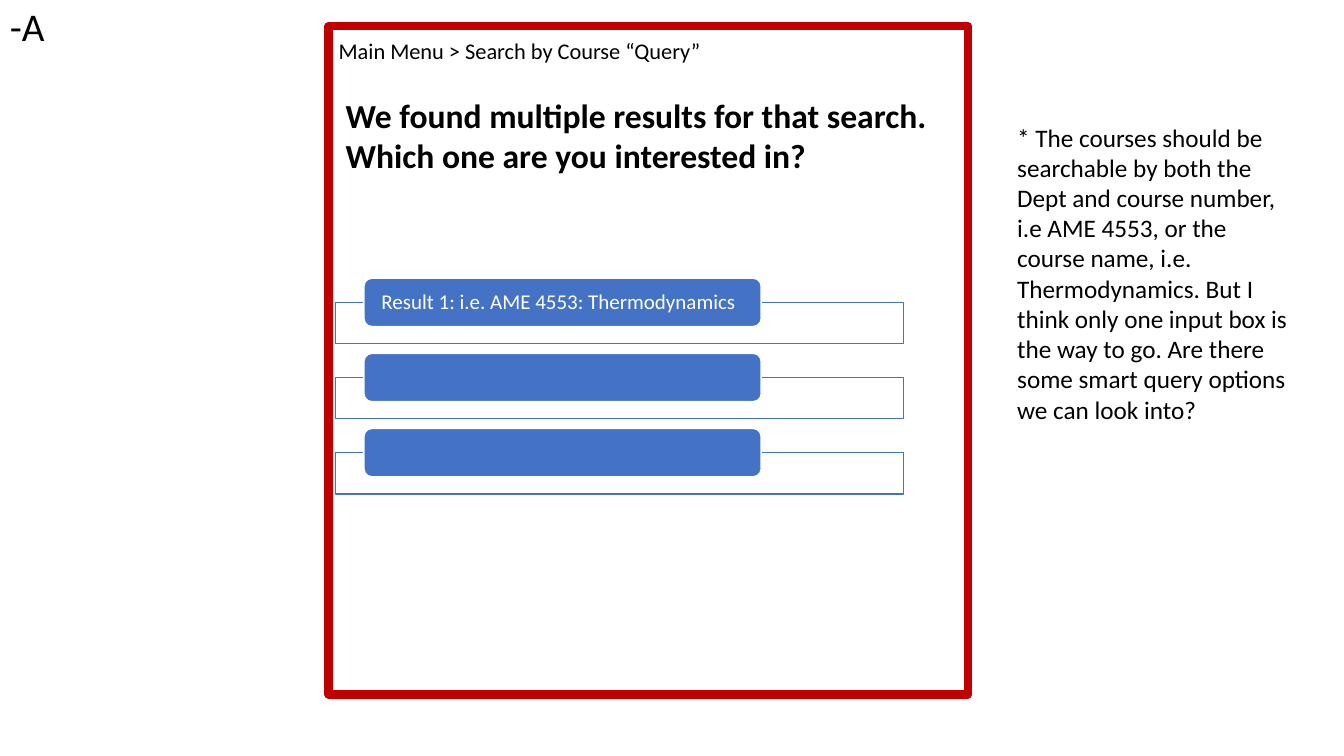
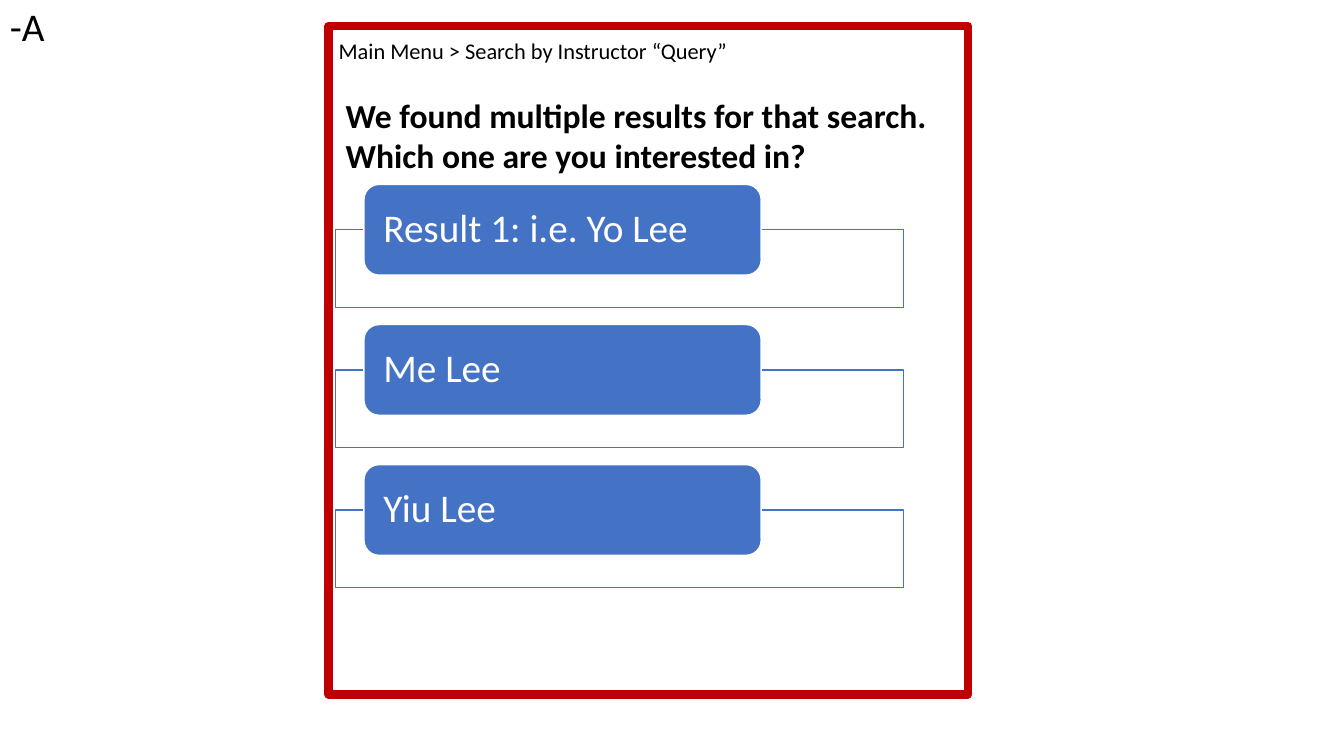
from lxml import etree
from pptx import Presentation
from pptx.dml.color import RGBColor
from pptx.enum.shapes import MSO_SHAPE
from pptx.enum.text import MSO_ANCHOR, MSO_AUTO_SIZE, PP_ALIGN
from pptx.oxml.ns import qn
from pptx.util import Inches, Pt

RECT = MSO_SHAPE.RECTANGLE
ROUND_RECT = MSO_SHAPE.ROUNDED_RECTANGLE
MIDDLE = MSO_ANCHOR.MIDDLE
LEFT = PP_ALIGN.LEFT
FIT_SHAPE = MSO_AUTO_SIZE.SHAPE_TO_FIT_TEXT

BLACK = RGBColor(0x00, 0x00, 0x00)
WHITE = RGBColor(0xFF, 0xFF, 0xFF)
RED = RGBColor(0xC0, 0x00, 0x00)
BLUE = RGBColor(0x44, 0x72, 0xC4)

FONT = "Calibri"
QUESTION = ("We found multiple results for that search. "
            "Which one are you interested in?")
NOTE = ("* The courses should be searchable by both the Dept and course "
        "number, i.e AME 4553, or the course name, i.e. Thermodynamics. "
        "But I think only one input box is the way to go. Are there some "
        "smart query options we can look into?")


def add_run(p, text, size, color=BLACK, bold=False):
    r = p.add_run()
    r.text = text
    r.font.name = FONT
    r.font.size = Pt(size)
    r.font.bold = bold
    r.font.color.rgb = color


def add_text(s, box, text, size, bold=False, wrap=True):
    tf = s.shapes.add_textbox(*map(Inches, box)).text_frame
    tf.word_wrap = wrap
    tf.auto_size = FIT_SHAPE
    add_run(tf.paragraphs[0], text, size, bold=bold)


def add_box(s, kind, box, line, width, fill=None):
    sp = s.shapes.add_shape(kind, *map(Inches, box))
    sp.shadow.inherit = False
    sp.line.color.rgb = line
    sp.line.width = Pt(width)
    if fill is None:
        sp.fill.background()
    else:
        sp.fill.solid()
        sp.fill.fore_color.rgb = fill
    return sp


def set_opacity(sp, percent):
    color = sp.fill._xPr.find(qn("a:solidFill")).find(qn("a:srgbClr"))
    etree.SubElement(color, qn("a:alpha")).set("val", str(percent * 1000))


def add_result(s, top, tab_height, bar_height, text, size):
    """Add a blue tab whose middle sits on the top edge of a wide bar."""
    bar = add_box(s, RECT, (3.33, top + tab_height / 2, 5.63, bar_height),
                  BLUE, 1, WHITE)
    set_opacity(bar, 90)
    tab = add_box(s, ROUND_RECT, (3.61, top, 3.94, tab_height),
                  WHITE, 1, BLUE)
    if text:
        tf = tab.text_frame
        tf.word_wrap = True
        tf.vertical_anchor = MIDDLE
        tf.margin_left = tf.margin_right = Inches(0.15)
        tf.margin_top = tf.margin_bottom = 0
        p = tf.paragraphs[0]
        p.alignment = LEFT
        p.line_spacing = 0.9
        add_run(p, text, size, WHITE)


def add_results(s, texts, top, step, tab_height, bar_height, size):
    for i, text in enumerate(texts):
        add_result(s, top + i * step, tab_height, bar_height, text, size)


def add_screen(prs, search):
    """Add a slide with the parts that every search screen shares."""
    s = prs.slides.add_slide(prs.slide_layouts[6])
    add_text(s, (0, -0.03, 0.55, 0.57), "-A", 28, wrap=False)
    add_box(s, RECT, (3.26, 0.26, 6.34, 6.63), RED, 6)
    add_text(s, (3.26, 0.32, 7.85, 0.37),
             f"Main Menu > Search by {search} “Query”", 16)
    add_text(s, (3.33, 0.89, 5.98, 0.91), QUESTION, 24, bold=True)
    return s


def main():
    prs = Presentation()
    prs.slide_width = Inches(13.33)
    prs.slide_height = Inches(7.5)

    s = add_screen(prs, "Course")
    add_text(s, (9.99, 1.16, 2.94, 3.13), NOTE, 18)
    add_results(s, ["Result 1: i.e. AME 4553: Thermodynamics", "", ""],
                top=2.76, step=0.745, tab_height=0.48, bar_height=0.41,
                size=15)

    s = add_screen(prs, "Instructor")
    add_results(s, ["Result 1: i.e. Yo Lee", "Me Lee", "Yiu Lee"],
                top=1.83, step=1.39, tab_height=0.9, bar_height=0.77,
                size=28)

    prs.save("out.pptx")


if __name__ == "__main__":
    main()
